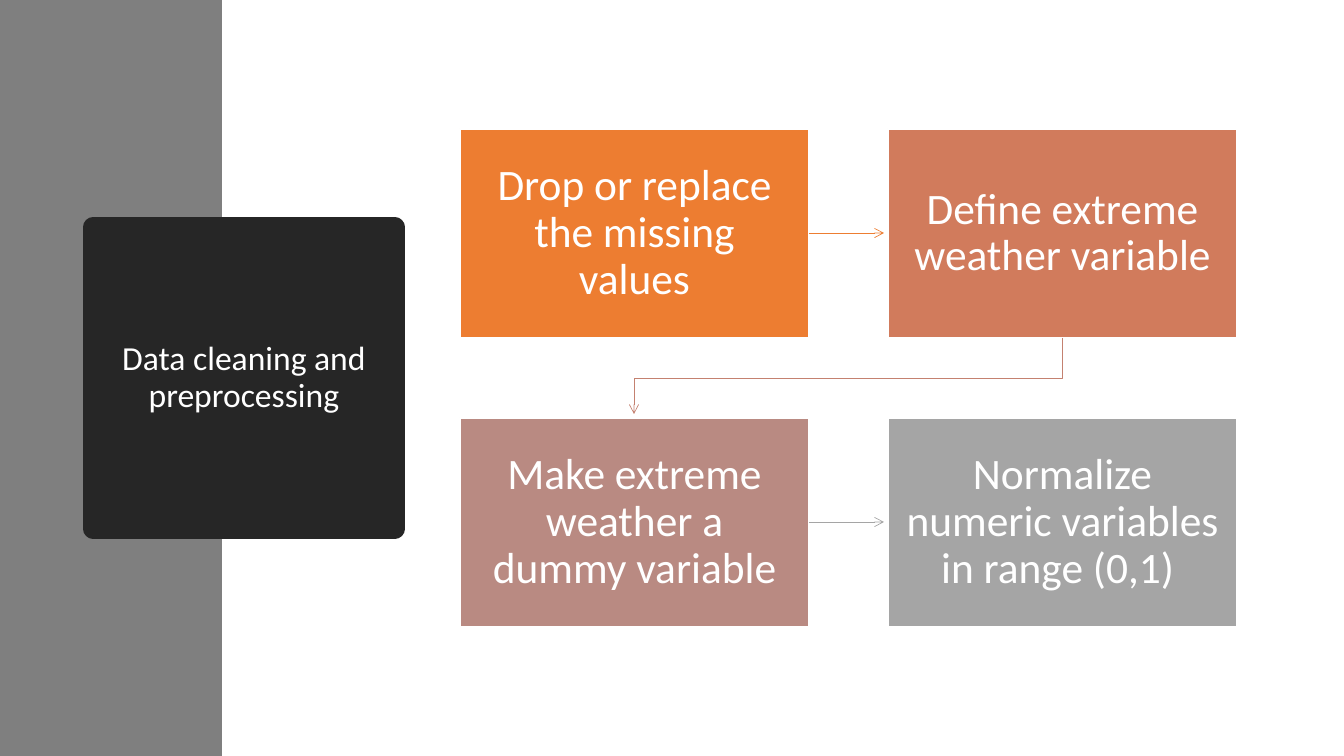
from dataclasses import dataclass

from lxml.etree import SubElement
from pptx import Presentation
from pptx.dml.color import RGBColor
from pptx.dml.line import LineFormat
from pptx.enum.shapes import MSO_CONNECTOR, MSO_SHAPE
from pptx.enum.text import MSO_ANCHOR, PP_ALIGN
from pptx.oxml.ns import qn
from pptx.shapes.autoshape import Shape
from pptx.slide import Slide
from pptx.util import Emu, Pt

EMU_PER_PX = 914400 / 100.8


@dataclass(frozen=True)
class Theme:
    font: str = "Calibri"
    title_size: float = 24
    step_size: float = 31
    border_width: float = 1
    title_border_width: float = 13.75
    arrow_width: float = 0.5
    white: str = "FFFFFF"
    sidebar: str = "7F7F7F"
    title_fill: str = "262626"
    orange: str = "ED7D31"
    terracotta: str = "D17B5C"
    rose: str = "B98A82"
    grey: str = "A5A5A5"
    turn_arrow: str = "C48170"


THEME = Theme()


@dataclass(frozen=True)
class Box:
    left: int
    top: int
    width: int
    height: int


@dataclass(frozen=True)
class Step:
    text: str
    fill: str


@dataclass(frozen=True)
class Arrow:
    points: tuple[tuple[int, int], ...]
    color: str


STEPS = (
    Step("Drop or replace the missing values", THEME.orange),
    Step("Define extreme weather variable", THEME.terracotta),
    Step("Make extreme weather a dummy variable", THEME.rose),
    Step("Normalize numeric variables in range (0,1) ", THEME.grey),
)
COLUMNS = 2
GRID_LEFT, GRID_TOP = 460, 129
STEP_WIDTH, STEP_HEIGHT = 349, 209
COLUMN_PITCH, ROW_PITCH = 428, 289
ARROW_GAP = 4


def px(length: int) -> Emu:
    return Emu(round(length * EMU_PER_PX))


def set_line(line: LineFormat, color: str, width: float) -> None:
    line.color.rgb = RGBColor.from_string(color)
    line.width = Pt(width)


def add_box(slide: Slide, box: Box, fill: str) -> Shape:
    shape = slide.shapes.add_shape(
        MSO_SHAPE.RECTANGLE, px(box.left), px(box.top), px(box.width), px(box.height)
    )
    shape.shadow.inherit = False
    shape.fill.solid()
    shape.fill.fore_color.rgb = RGBColor.from_string(fill)
    shape.line.fill.background()
    return shape


def set_text(shape: Shape, text: str, size: float, margin: int) -> None:
    frame = shape.text_frame
    frame.text = text
    frame.word_wrap = True
    frame.vertical_anchor = MSO_ANCHOR.MIDDLE
    frame.margin_left = frame.margin_right = px(margin)
    frame.margin_top = frame.margin_bottom = px(margin)
    paragraph = frame.paragraphs[0]
    paragraph.alignment = PP_ALIGN.CENTER
    paragraph.line_spacing = 0.9
    font = paragraph.runs[0].font
    font.name = THEME.font
    font.size = Pt(size)
    font.color.rgb = RGBColor.from_string(THEME.white)


def add_title(slide: Slide) -> None:
    title = add_box(slide, Box(93, 227, 302, 302), THEME.title_fill)
    set_line(title.line, THEME.title_fill, THEME.title_border_width)
    SubElement(title.line._get_or_add_ln(), qn("a:round"))
    set_text(title, "Data cleaning and preprocessing", THEME.title_size, 10)


def add_step(slide: Slide, step: Step, box: Box) -> None:
    shape = add_box(slide, box, step.fill)
    set_line(shape.line, THEME.white, THEME.border_width)
    set_text(shape, step.text, THEME.step_size, 17)


def add_arrow(slide: Slide, arrow: Arrow) -> None:
    start, *rest = arrow.points
    if len(rest) == 1:
        end = rest[0]
        route = slide.shapes.add_connector(
            MSO_CONNECTOR.STRAIGHT, px(start[0]), px(start[1]), px(end[0]), px(end[1])
        )
        SubElement(route._element.spPr, qn("a:effectLst"))
    else:
        builder = slide.shapes.build_freeform(*start, scale=EMU_PER_PX)
        builder.add_line_segments(rest, close=False)
        route = builder.convert_to_shape()
        route.shadow.inherit = False
        route.fill.background()
    set_line(route.line, arrow.color, THEME.arrow_width)
    SubElement(route.line._get_or_add_ln(), qn("a:tailEnd"), type="arrow")


def step_box(index: int) -> Box:
    row, column = divmod(index, COLUMNS)
    return Box(
        GRID_LEFT + column * COLUMN_PITCH,
        GRID_TOP + row * ROW_PITCH,
        STEP_WIDTH,
        STEP_HEIGHT,
    )


def across(source: Box, target: Box, color: str) -> Arrow:
    middle = source.top + source.height // 2
    start = source.left + source.width
    return Arrow(((start, middle), (target.left - ARROW_GAP, middle)), color)


def down_and_back(source: Box, target: Box, color: str) -> Arrow:
    start_x = source.left + source.width // 2
    end_x = target.left + target.width // 2
    bottom = source.top + source.height
    turn = (bottom + target.top) // 2
    points = ((start_x, bottom), (start_x, turn), (end_x, turn), (end_x, target.top - ARROW_GAP))
    return Arrow(points, color)


def main() -> None:
    presentation = Presentation()
    presentation.slide_width = px(1344)
    presentation.slide_height = px(756)
    slide = presentation.slides.add_slide(presentation.slide_layouts[6])

    add_box(slide, Box(0, 0, 222, 756), THEME.sidebar)
    add_title(slide)

    boxes = [step_box(index) for index in range(len(STEPS))]
    drop, define, dummy, normalize = boxes
    for step, box in zip(STEPS, boxes):
        add_step(slide, step, box)
    for arrow in (
        across(drop, define, THEME.orange),
        down_and_back(define, dummy, THEME.turn_arrow),
        across(dummy, normalize, THEME.grey),
    ):
        add_arrow(slide, arrow)

    presentation.save("out.pptx")


if __name__ == "__main__":
    main()
